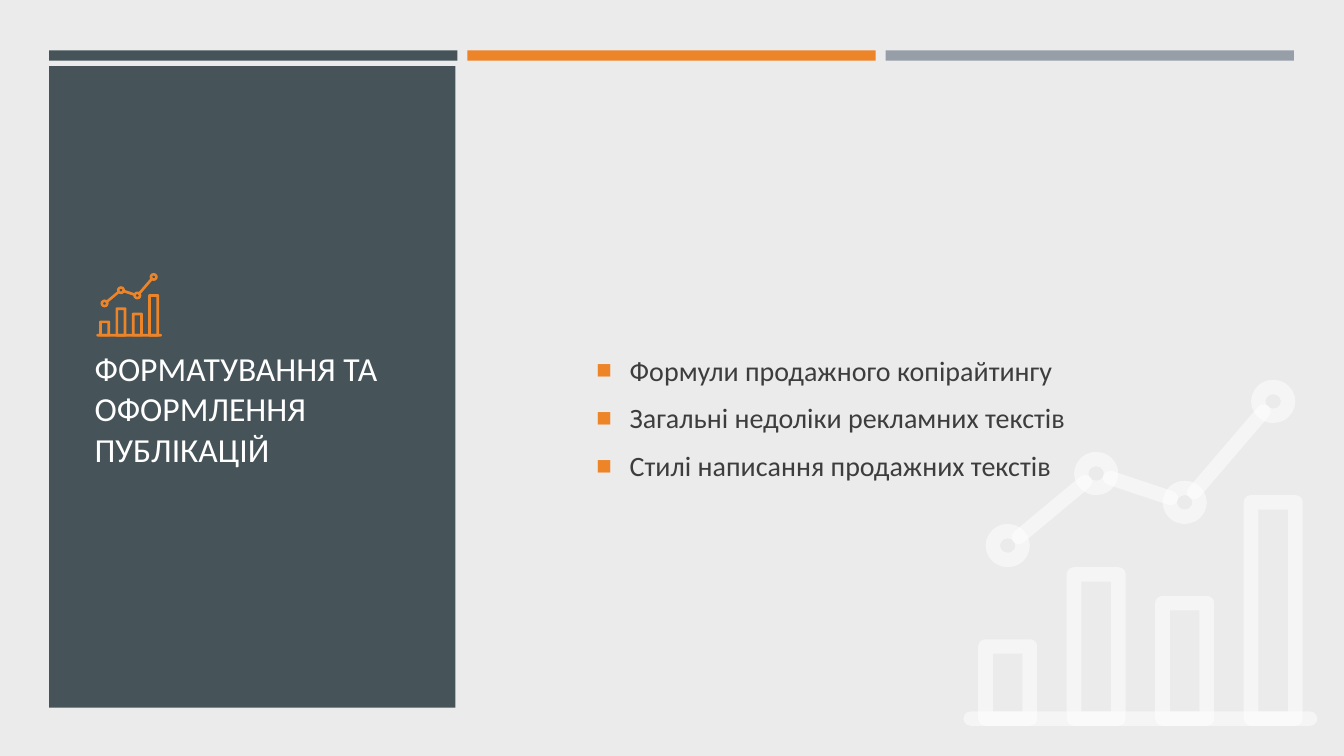
import math
from dataclasses import dataclass
from itertools import pairwise

from lxml import etree
from pptx import Presentation
from pptx.dml.color import RGBColor
from pptx.enum.shapes import MSO_SHAPE
from pptx.enum.text import MSO_ANCHOR, MSO_AUTO_SIZE, PP_ALIGN
from pptx.oxml.ns import qn
from pptx.util import Cm, Pt

RECTANGLE = MSO_SHAPE.RECTANGLE
ROUNDED = MSO_SHAPE.ROUNDED_RECTANGLE
DONUT = MSO_SHAPE.DONUT
MIDDLE = MSO_ANCHOR.MIDDLE
LEFT = PP_ALIGN.LEFT
NO_FIT = MSO_AUTO_SIZE.NONE


@dataclass(frozen=True)
class Theme:
    """Colours, font and type sizes of the deck."""
    background: str = "EBEBEB"
    slate: str = "465359"
    orange: str = "ED8428"
    grey: str = "969FA7"
    white: str = "FFFFFF"
    text: str = "3D3D3D"
    font: str = "Calibri"
    title_size: int = 24
    body_size: int = 20


THEME = Theme()
TITLE = "ФОРМАТУВАННЯ ТА ОФОРМЛЕННЯ ПУБЛІКАЦІЙ"
TOPICS = [
    "Формули продажного копірайтингу",
    "Загальні недоліки рекламних текстів",
    "Стилі написання продажних текстів",
]
BAR_HEIGHTS = [6, 11, 9, 16]
ICON_GRID = 24


def paint(shape, color, opacity=100):
    """Give a shape a plain fill without line or shadow."""
    shape.shadow.inherit = False
    shape.line.fill.background()
    shape.fill.solid()
    shape.fill.fore_color.rgb = RGBColor.from_string(color)
    if opacity < 100:
        tint = shape.element.spPr.find(".//" + qn("a:srgbClr"))
        etree.SubElement(tint, qn("a:alpha"), val=str(opacity * 1000))


def add_block(shapes, kind, box, color, opacity=100):
    """Add a painted preset shape in a box given in centimetres."""
    shape = shapes.add_shape(kind, *(Cm(length) for length in box))
    paint(shape, color, opacity)
    return shape


def format_text(para, size, color):
    """Set the font of every run in a paragraph."""
    for span in para.runs:
        span.font.name = THEME.font
        span.font.size = Pt(size)
        span.font.color.rgb = RGBColor.from_string(color)


def add_header_bars(page, box):
    """Spread three coloured bars over the width of the box."""
    left, top, width, height = box
    gap = 0.25
    bar = (width - 2 * gap) / 3
    for index, color in enumerate([THEME.slate, THEME.orange, THEME.grey]):
        place = (left + index * (bar + gap), top, bar, height)
        add_block(page.shapes, RECTANGLE, place, color)


def add_title_panel(page, box):
    """Draw the dark panel with the title and a small chart icon."""
    left, top, width, height = box
    panel = add_block(page.shapes, RECTANGLE, box, THEME.slate)
    title = page.shapes.title
    panel.element.addnext(title.element)
    title.left, title.top = Cm(left + 0.89), Cm(top + 6.23)
    title.width, title.height = Cm(width - 1.8), Cm(4.78)
    frame = title.text_frame
    frame.text = TITLE
    frame.word_wrap = True
    frame.auto_size = NO_FIT
    frame.vertical_anchor = MIDDLE
    para = frame.paragraphs[0]
    para.alignment = LEFT
    format_text(para, THEME.title_size, THEME.white)
    add_chart_icon(page, (left + 1.19, top + 5.21, 1.65, 1.6), THEME.orange)


def add_bullet(para):
    """Give a paragraph an orange square bullet and a hanging indent."""
    props = para._p.get_or_add_pPr()
    props.set("marL", str(Cm(2.06)))
    props.set("indent", str(Cm(-0.84)))
    bullet_color = etree.SubElement(props, qn("a:buClr"))
    etree.SubElement(bullet_color, qn("a:srgbClr"), val=THEME.orange)
    etree.SubElement(props, qn("a:buSzPct"), val="92000")
    etree.SubElement(props, qn("a:buFont"), typeface="Arial")
    etree.SubElement(props, qn("a:buChar"), char="■")


def add_topics(page, box):
    """Write the bulleted topics, centred vertically in the box."""
    frame = page.shapes.add_textbox(*(Cm(length) for length in box)).text_frame
    frame.word_wrap = True
    frame.vertical_anchor = MIDDLE
    frame.text = "\n".join(TOPICS)
    for index, para in enumerate(frame.paragraphs):
        add_bullet(para)
        para.space_before = Pt(4 if index else 0)
        para.space_after = Pt(6)
        format_text(para, THEME.body_size, THEME.text)


def rounded_outline(left, top, right, bottom, radius):
    """Return the points of a rectangle with rounded corners."""
    corners = [
        (right - radius, bottom - radius, 0),
        (left + radius, bottom - radius, 90),
        (left + radius, top + radius, 180),
        (right - radius, top + radius, 270),
    ]
    return [
        (x + radius * math.cos(math.radians(start + turn)),
         y + radius * math.sin(math.radians(start + turn)))
        for x, y, start in corners
        for turn in range(0, 91, 15)
    ]


def add_chart_icon(page, box, color, opacity=100):
    """Draw a bar and line chart icon on a square grid inside the box."""
    left, top, width, height = box
    unit_x, unit_y = width / ICON_GRID, height / ICON_GRID
    shapes = page.shapes.add_group_shape().shapes

    def spot(x, y):
        """Turn grid units into a position in centimetres."""
        return left + x * unit_x, top + y * unit_y

    def add_round(kind, x, y, columns, rows, adjustment):
        """Add a preset shape placed in grid units."""
        place = (*spot(x, y), columns * unit_x, rows * unit_y)
        shape = add_block(shapes, kind, place, color, opacity)
        shape.adjustments[0] = adjustment
        return shape

    add_round(ROUNDED, 0, ICON_GRID - 1, ICON_GRID, 1, 0.5)
    nodes = []
    for index, bar_height in enumerate(BAR_HEIGHTS):
        x, y = 1 + 6 * index, ICON_GRID - bar_height
        outer = rounded_outline(x, y, x + 4, ICON_GRID, 0.5)
        inner = [(x + 1, y + 1), (x + 1, ICON_GRID - 1),
                 (x + 3, ICON_GRID - 1), (x + 3, y + 1)]
        outer, inner = (
            [tuple(Cm(length) for length in spot(*point)) for point in outline]
            for outline in (outer, inner)
        )
        builder = shapes.build_freeform(*outer[0])
        builder.add_line_segments(outer[1:])
        builder.move_to(*inner[0])
        builder.add_line_segments(inner[1:])
        paint(builder.convert_to_shape(), color, opacity)
        nodes.append((x + 2, y - 6.5))

    for x, y in nodes:
        add_round(DONUT, x - 1.5, y - 1.5, 3, 3, 1 / 3)
    for (x1, y1), (x2, y2) in pairwise(nodes):
        length = math.hypot(x2 - x1, y2 - y1) - 1
        x, y = (x1 + x2 - length) / 2, (y1 + y2 - 1) / 2
        link = add_round(ROUNDED, x, y, length, 1, 0.5)
        link.rotation = math.degrees(math.atan2(y2 - y1, x2 - x1))


def main():
    """Build the deck and save it."""
    deck = Presentation()
    deck.slide_width, deck.slide_height = Cm(33.87), Cm(19.05)
    page = deck.slides.add_slide(deck.slide_layouts[5])
    page.background.fill.solid()
    page.background.fill.fore_color.rgb = RGBColor.from_string(THEME.background)
    add_header_bars(page, (1.24, 1.27, 31.37, 0.26))
    add_title_panel(page, (1.24, 1.67, 10.24, 16.16))
    add_topics(page, (13.56, 4.06, 18.47, 12.93))
    add_chart_icon(page, (24.28, 9.57, 8.92, 8.72), THEME.white, 50)
    deck.save("out.pptx")


if __name__ == "__main__":
    main()
